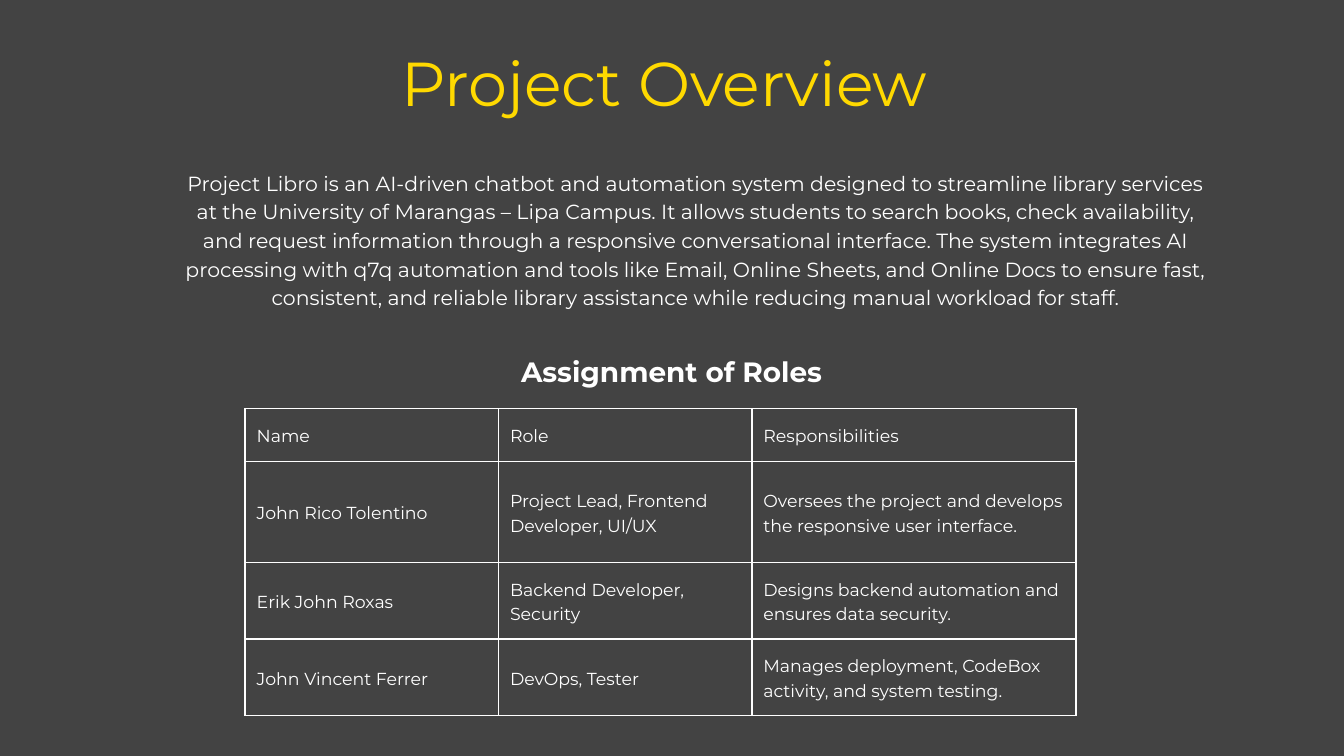
from lxml.etree import SubElement
from pptx import Presentation
from pptx.dml.color import RGBColor
from pptx.enum.text import MSO_ANCHOR, PP_ALIGN
from pptx.oxml.ns import qn
from pptx.util import Inches, Pt

THEME = {
    "font": "Montserrat",
    "background": "434343",
    "accent": "FFD900",
    "text": "FFFFFF",
    # (type size, line spacing) in points
    "title": (66.4, 55.1),
    "body": (21.9, 30.7),
    "heading": (29.9, 41.9),
    "cell": (18.6, 26.1),
    "border": 1.97,
}

SLIDE_SIZE = (20, 11.25)

SUMMARY = (
    "Project Libro is an AI-driven chatbot and automation system designed to streamline "
    "library services at the University of Marangas – Lipa Campus. It allows students to "
    "search books, check availability, and request information through a responsive "
    "conversational interface. The system integrates AI processing with q7q automation and "
    "tools like Email, Online Sheets, and Online Docs to ensure fast, consistent, and "
    "reliable library assistance while reducing manual workload for staff."
)

# text, (left, top, width, height) in inches, style, colour, bold
TEXTS = [
    ("Project Overview ", (3.36, 1.01, 13.29, 0.85), "title", "accent", False),
    (SUMMARY, (2.74, 2.48, 15.22, 2.9), "body", "text", False),
    ("Assignment of Roles", (6.93, 5.19, 6.13, 0.55), "heading", "text", True),
]

ROLES = [
    ("Name", "Role", "Responsibilities"),
    ("John Rico Tolentino", "Project Lead, Frontend Developer, UI/UX",
     "Oversees the project and develops the responsive user interface."),
    ("Erik John Roxas", "Backend Developer, Security",
     "Designs backend automation and ensures data security."),
    ("John Vincent Ferrer", "DevOps, Tester",
     "Manages deployment, CodeBox activity, and system testing."),
]
TABLE_ORIGIN = (3.65, 6.08)
COLUMN_WIDTHS = (3.77, 3.77, 4.82)
ROW_HEIGHTS = (0.79, 1.5, 1.14, 1.14)
CELL_MARGIN = 0.17


def set_margins(target, margin):
    target.margin_left = target.margin_right = Inches(margin)
    target.margin_top = target.margin_bottom = Inches(margin)


def write_text(text_frame, text, style, color="text", bold=False, align=PP_ALIGN.LEFT):
    size, spacing = THEME[style]
    text_frame.text = text
    text_frame.word_wrap = True
    paragraph = text_frame.paragraphs[0]
    paragraph.alignment = align
    paragraph.line_spacing = Pt(spacing)
    font = paragraph.runs[0].font
    font.name = THEME["font"]
    font.size = Pt(size)
    font.bold = bold
    font.color.rgb = RGBColor.from_string(THEME[color])


def add_borders(cell):
    """Draw all four cell edges; the lines must precede the cell's fill."""
    properties = cell._tc.get_or_add_tcPr()
    for index, edge in enumerate(("a:lnL", "a:lnR", "a:lnT", "a:lnB")):
        line = SubElement(properties, qn(edge), w=str(Pt(THEME["border"])))
        fill = SubElement(line, qn("a:solidFill"))
        SubElement(fill, qn("a:srgbClr"), val=THEME["text"])
        properties.insert(index, line)


def add_roles_table(slide):
    sizes = (*TABLE_ORIGIN, sum(COLUMN_WIDTHS), sum(ROW_HEIGHTS))
    frame = slide.shapes.add_table(len(ROLES), len(COLUMN_WIDTHS), *map(Inches, sizes))
    table = frame.table
    table.first_row = table.horz_banding = False
    for column, width in zip(table.columns, COLUMN_WIDTHS):
        column.width = Inches(width)
    for row, height, texts in zip(table.rows, ROW_HEIGHTS, ROLES):
        row.height = Inches(height)
        for cell, text in zip(row.cells, texts):
            write_text(cell.text_frame, text, "cell")
            set_margins(cell, CELL_MARGIN)
            cell.vertical_anchor = MSO_ANCHOR.MIDDLE
            cell.fill.background()
            add_borders(cell)


def main():
    presentation = Presentation()
    presentation.slide_width, presentation.slide_height = map(Inches, SLIDE_SIZE)
    slide = presentation.slides.add_slide(presentation.slide_layouts[6])
    slide.background.fill.solid()
    slide.background.fill.fore_color.rgb = RGBColor.from_string(THEME["background"])

    add_roles_table(slide)
    for text, box, style, color, bold in TEXTS:
        text_frame = slide.shapes.add_textbox(*map(Inches, box)).text_frame
        set_margins(text_frame, 0)
        write_text(text_frame, text, style, color, bold, PP_ALIGN.CENTER)

    presentation.save("out.pptx")


if __name__ == "__main__":
    main()
